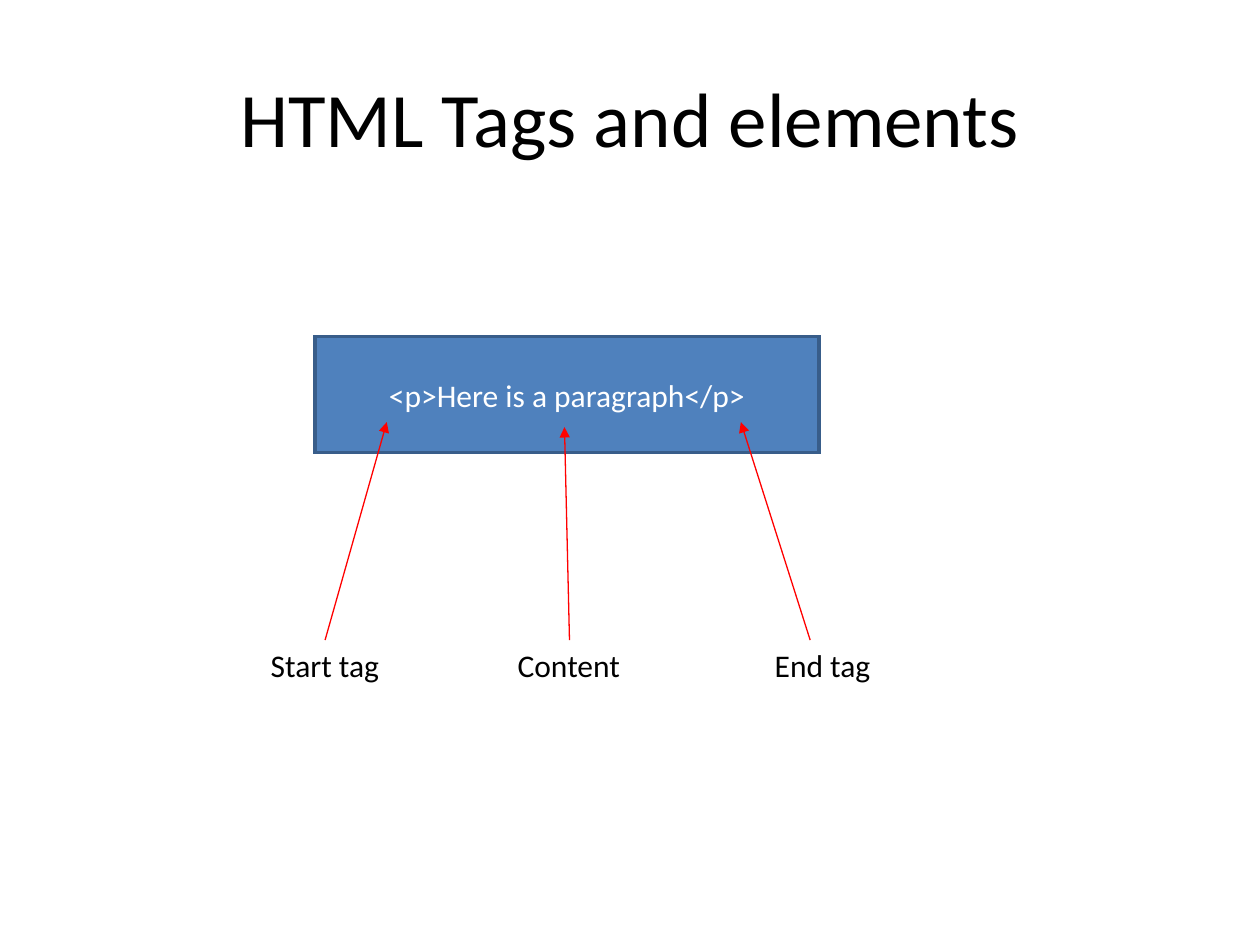
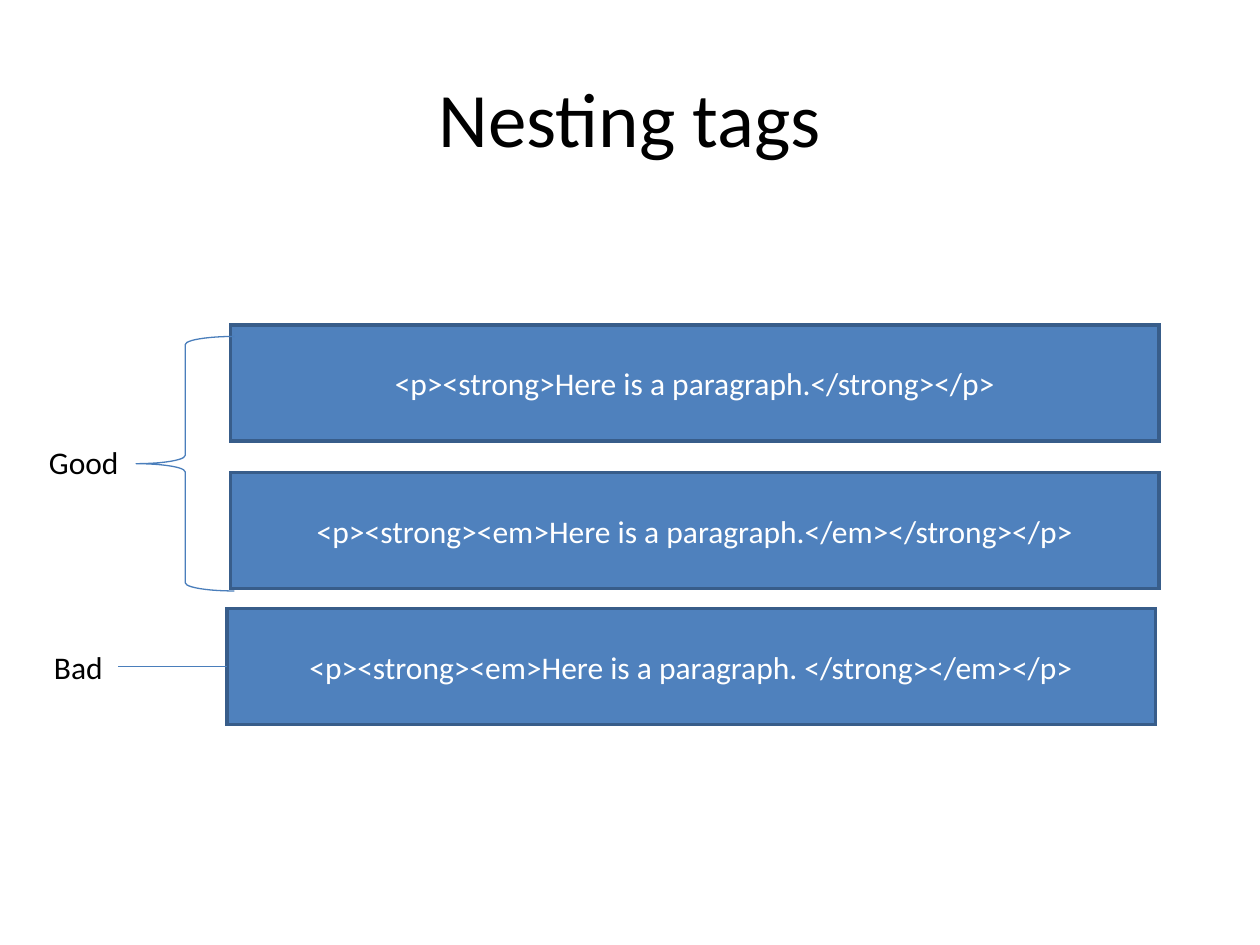
from dataclasses import dataclass

from lxml import etree
from pptx import Presentation
from pptx.dml.color import RGBColor
from pptx.enum.shapes import MSO_CONNECTOR, MSO_SHAPE
from pptx.enum.text import MSO_ANCHOR, MSO_AUTO_SIZE, PP_ALIGN
from pptx.oxml.ns import qn
from pptx.util import Inches, Pt

RECT, BRACE = MSO_SHAPE.RECTANGLE, MSO_SHAPE.LEFT_BRACE
STRAIGHT = MSO_CONNECTOR.STRAIGHT
MIDDLE, TOP = MSO_ANCHOR.MIDDLE, MSO_ANCHOR.TOP
GROW = MSO_AUTO_SIZE.SHAPE_TO_FIT_TEXT
LEFT, CENTER = PP_ALIGN.LEFT, PP_ALIGN.CENTER
LEFT_SIDE = 1
TITLE_ONLY = 5


@dataclass(frozen=True)
class Theme:
    font: str = "Calibri"
    head: int = 44
    text: int = 18
    ink: str = "000000"
    pale: str = "FFFFFF"
    fill: str = "4F81BD"
    edge: str = "385D8A"
    link: str = "4A7EBB"
    mark: str = "FF0000"
    thick: float = 2
    thin: float = 0.75


THEME = Theme()
BAR_H, LABEL_H = 0.92, 0.4


def color(code):
    return RGBColor.from_string(code)


def apply(target, values):
    for name, value in values.items():
        setattr(target, name, value)


def write(shape, text, size, ink, align, anchor):
    frame = shape.text_frame
    frame.text = text
    frame.vertical_anchor = anchor
    line = frame.paragraphs[0]
    line.alignment = align
    apply(line.font, {"name": THEME.font, "size": Pt(size)})
    line.font.color.rgb = color(ink)


def stroke(shape, code, width):
    shape.line.color.rgb = color(code)
    shape.line.width = Pt(width)


def extend(shape, tag, **values):
    """Add a child element to the outline of a shape."""
    outline = shape._element.spPr.find(qn("a:ln"))
    etree.SubElement(outline, qn(tag), values)


def add_slide(deck, title):
    slide = deck.slides.add_slide(deck.slide_layouts[TITLE_ONLY])
    head = slide.shapes.title
    places = {"left": 0.5, "top": 0.3, "width": 9, "height": 1.25}
    apply(head, {side: Inches(v) for side, v in places.items()})
    write(head, title, THEME.head, THEME.ink, CENTER, MIDDLE)
    return slide


def add_bar(slide, text, x, y, width):
    """Draw a blue box that holds a line of HTML."""
    bar = slide.shapes.add_shape(
        RECT, Inches(x), Inches(y), Inches(width), Inches(BAR_H))
    bar.shadow.inherit = False
    bar.fill.solid()
    bar.fill.fore_color.rgb = color(THEME.fill)
    stroke(bar, THEME.edge, THEME.thick)
    extend(bar, "a:miter", lim="800000")
    write(bar, text, THEME.text, THEME.pale, CENTER, MIDDLE)
    return bar


def add_label(slide, text, x, y, width):
    label = slide.shapes.add_textbox(
        Inches(x), Inches(y), Inches(width), Inches(LABEL_H))
    write(label, text, THEME.text, THEME.ink, LEFT, TOP)
    apply(label.text_frame, {"word_wrap": False, "auto_size": GROW})


def add_line(slide, start, end, code, arrow=False):
    ends = [Inches(v) for v in (*start, *end)]
    line = slide.shapes.add_connector(STRAIGHT, *ends)
    stroke(line, code, THEME.thin)
    if arrow:
        extend(line, "a:tailEnd", type="triangle")
    etree.SubElement(line._element.spPr, qn("a:effectLst"))
    return line


def draw_parts(slide, x, y):
    """Point from each label to its part of the element."""
    add_bar(slide, "<p>Here is a paragraph</p>", x, y, 4)
    parts = (
        # text, label left, label width, line start, tip x, tip y
        ("Start tag", -0.45, 1.06, 0.08, 0.57, 0.68),
        ("Content", 1.51, 1.02, 2.02, 1.98, 0.72),
        ("End tag", 3.55, 0.96, 3.93, 3.38, 0.68),
    )
    base = y + 2.41
    for text, left, width, foot, tip, rise in parts:
        add_label(slide, text, x + left, base, width)
        add_line(slide, (x + foot, base), (x + tip, y + rise),
                 THEME.mark, arrow=True)


def draw_good(slide, x, y):
    """Join two well nested lines with a brace."""
    lines = (
        "<p><strong>Here is a paragraph.</strong></p>",
        "<p><strong><em>Here is a paragraph.</em></strong></p>",
    )
    for row, text in enumerate(lines):
        add_bar(slide, text, x + 1.54, y + row * 1.17, 7.37)
    brace = slide.shapes.add_shape(
        BRACE, Inches(x + 0.79), Inches(y + 0.09), Inches(0.78), Inches(2.02))
    brace.shadow.inherit = False
    brace.fill.background()
    stroke(brace, THEME.link, THEME.thin)
    add_label(slide, "Good", x, y + 0.89, 0.77)


def draw_bad(slide, x, y):
    """Join the badly nested line to its label."""
    bar = add_bar(
        slide, "<p><strong><em>Here is a paragraph. </strong></em></p>",
        x + 1.47, y, 7.37)
    add_label(slide, "Bad", x, y + 0.26, 0.62)
    mid = y + BAR_H / 2
    line = add_line(slide, (x + 0.61, mid), (x + 1.47, mid), THEME.link)
    line.end_connect(bar, LEFT_SIDE)


def main():
    deck = Presentation()
    apply(deck, {"slide_width": Inches(10), "slide_height": Inches(7.5)})
    draw_parts(add_slide(deck, "HTML Tags and elements"), 2.5, 2.67)
    nest = add_slide(deck, "Nesting tags")
    draw_good(nest, 0.29, 2.58)
    draw_bad(nest, 0.33, 4.83)
    deck.save("out.pptx")


if __name__ == "__main__":
    main()
